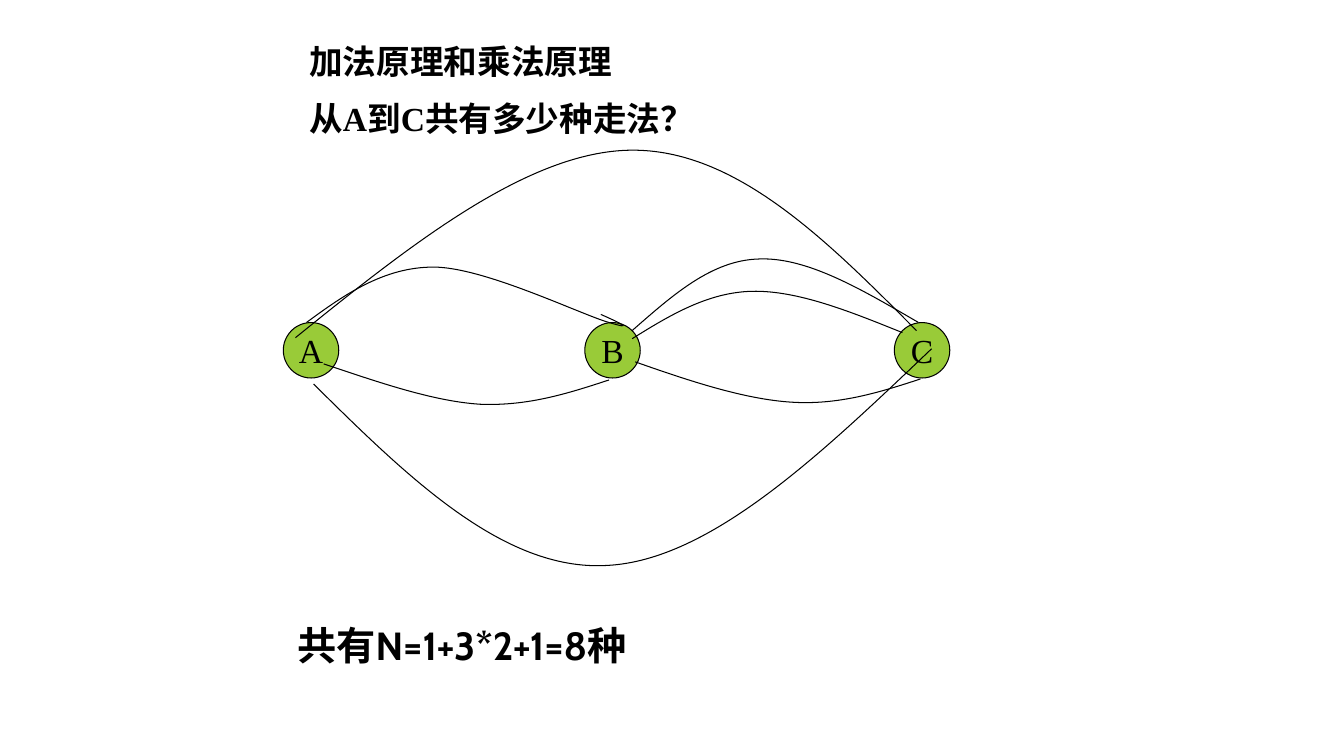
from dataclasses import dataclass
from math import cos, radians, sin

from lxml.etree import SubElement
from pptx import Presentation
from pptx.dml.color import RGBColor
from pptx.enum.shapes import MSO_SHAPE
from pptx.enum.text import MSO_ANCHOR, PP_ALIGN
from pptx.oxml.ns import qn
from pptx.shapes.autoshape import Shape
from pptx.slide import Slide
from pptx.text.text import TextFrame
from pptx.util import Inches, Pt

BLACK = "000000"
GREEN = "99CB38"
SERIF = "Times New Roman"
Point = tuple[float, float]


@dataclass(frozen=True)
class Town:
    name: str
    left: float


@dataclass(frozen=True)
class Route:
    """A chain of cubic curves: the start, then three points per curve."""
    points: list[Point]
    angle: float = 0


@dataclass(frozen=True)
class Caption:
    lines: list[str]
    frame: tuple[float, float, float, float]
    size: float
    font: str
    anchor: MSO_ANCHOR


TOWN_TOP, TOWN_SIZE = 3.2, 0.55
TOWNS = [Town("A", 2.81), Town("B", 5.8), Town("C", 8.87)]

ROUTES = [
    Route([(3.04, 3.2), (3.42, 2.92), (3.81, 2.65), (4.3, 2.65), (4.8, 2.65),
           (5.76, 3.12), (6.04, 3.2), (6.31, 3.28), (6.14, 3.2), (5.96, 3.12)]),
    Route([(6.27, 3.28), (6.67, 2.93), (7.06, 2.58), (7.53, 2.57),
           (8.01, 2.55), (8.56, 2.88), (9.11, 3.2)]),
    Route([(6.27, 3.36), (6.64, 3.13), (7.02, 2.9), (7.46, 2.89),
           (7.91, 2.88), (8.43, 3.09), (8.95, 3.3)]),
    Route([(9.13, 3.76), (8.73, 3.89), (8.32, 4.02), (7.85, 3.99),
           (7.38, 3.96), (6.84, 3.78), (6.3, 3.59)], 184.1),
    Route([(6.04, 3.77), (5.64, 3.9), (5.24, 4.03), (4.76, 4.01),
           (4.29, 3.98), (3.75, 3.79), (3.21, 3.61)], 184.1),
    Route([(9.09, 3.28), (8.19, 2.37), (7.29, 1.48), (6.26, 1.49),
           (5.24, 1.5), (4.08, 2.42), (2.93, 3.35)], 177.3),
    Route([(3.11, 3.81), (4.05, 4.74), (5, 5.67), (6.02, 5.61),
           (7.04, 5.56), (8.14, 4.51), (9.24, 3.46)], 354.6),
]

QUESTION = Caption(["加法原理和乘法原理", "从A到C共有多少种走法？"],
                   (2.97, 0.36, 5.43, 1.1), 24, SERIF, MSO_ANCHOR.TOP)
ANSWER = Caption(["共有N=1+3*2+1=8种"],
                 (2.85, 6.11, 5.63, 0.57), 28, "Cabin", MSO_ANCHOR.MIDDLE)


def color(code: str) -> RGBColor:
    return RGBColor.from_string(code)


def write_lines(frame: TextFrame, lines: list[str], size: float, font: str,
                bold: bool, align: PP_ALIGN) -> None:
    for index, line in enumerate(lines):
        para = frame.add_paragraph() if index else frame.paragraphs[0]
        para.alignment = align
        if index:
            para.space_before = Pt(size / 2)
        span = para.add_run()
        span.text = line
        span.font.size = Pt(size)
        span.font.name = font
        span.font.bold = bold
        span.font.color.rgb = color(BLACK)


def outline(shape: Shape) -> None:
    shape.shadow.inherit = False
    shape.line.color.rgb = color(BLACK)
    shape.line.width = Pt(0.75)


def add_caption(page: Slide, caption: Caption) -> None:
    box = page.shapes.add_textbox(*map(Inches, caption.frame))
    box.text_frame.word_wrap = True
    box.text_frame.vertical_anchor = caption.anchor
    write_lines(box.text_frame, caption.lines, caption.size, caption.font,
                True, PP_ALIGN.LEFT)


def add_town(page: Slide, town: Town) -> None:
    circle = page.shapes.add_shape(
        MSO_SHAPE.OVAL, Inches(town.left), Inches(TOWN_TOP),
        Inches(TOWN_SIZE), Inches(TOWN_SIZE))
    outline(circle)
    circle.fill.solid()
    circle.fill.fore_color.rgb = color(GREEN)
    circle.text_frame.word_wrap = False
    circle.text_frame.vertical_anchor = MSO_ANCHOR.MIDDLE
    write_lines(circle.text_frame, [town.name], 24, SERIF, False,
                PP_ALIGN.CENTER)


def turn(point: Point, angle: float) -> Point:
    x, y = point
    c, s = cos(radians(angle)), sin(radians(angle))
    return x * c - y * s, x * s + y * c


def before_rotation(route: Route) -> list[Point]:
    """Find the points that the shape's own rotation brings to the route."""
    turned = [turn(point, -route.angle) for point in route.points]
    middle_x, middle_y = ((min(axis) + max(axis)) / 2 for axis in zip(*turned))
    center_x, center_y = turn((middle_x, middle_y), route.angle)
    return [(x + center_x - middle_x, y + center_y - middle_y)
            for x, y in turned]


def bend(shape: Shape) -> None:
    """Turn every three straight segments into one cubic curve."""
    segments = list(shape.element.iter(qn("a:lnTo")))
    for first in range(0, len(segments), 3):
        group = segments[first:first + 3]
        curve = SubElement(group[0].getparent(), qn("a:cubicBezTo"))
        for segment in group:
            curve.append(segment[0])
            segment.getparent().remove(segment)


def add_route(page: Slide, route: Route) -> None:
    start, *rest = [(Inches(x), Inches(y)) for x, y in before_rotation(route)]
    builder = page.shapes.build_freeform(*start)
    builder.add_line_segments(rest, close=False)
    shape = builder.convert_to_shape()
    bend(shape)
    shape.rotation = route.angle
    shape.fill.background()
    outline(shape)


def main() -> None:
    deck = Presentation()
    deck.slide_width, deck.slide_height = Inches(13.33), Inches(7.5)
    page = deck.slides.add_slide(deck.slide_layouts[6])
    add_caption(page, QUESTION)
    for town in TOWNS:
        add_town(page, town)
    for route in ROUTES:
        add_route(page, route)
    add_caption(page, ANSWER)
    deck.save("out.pptx")


if __name__ == "__main__":
    main()
